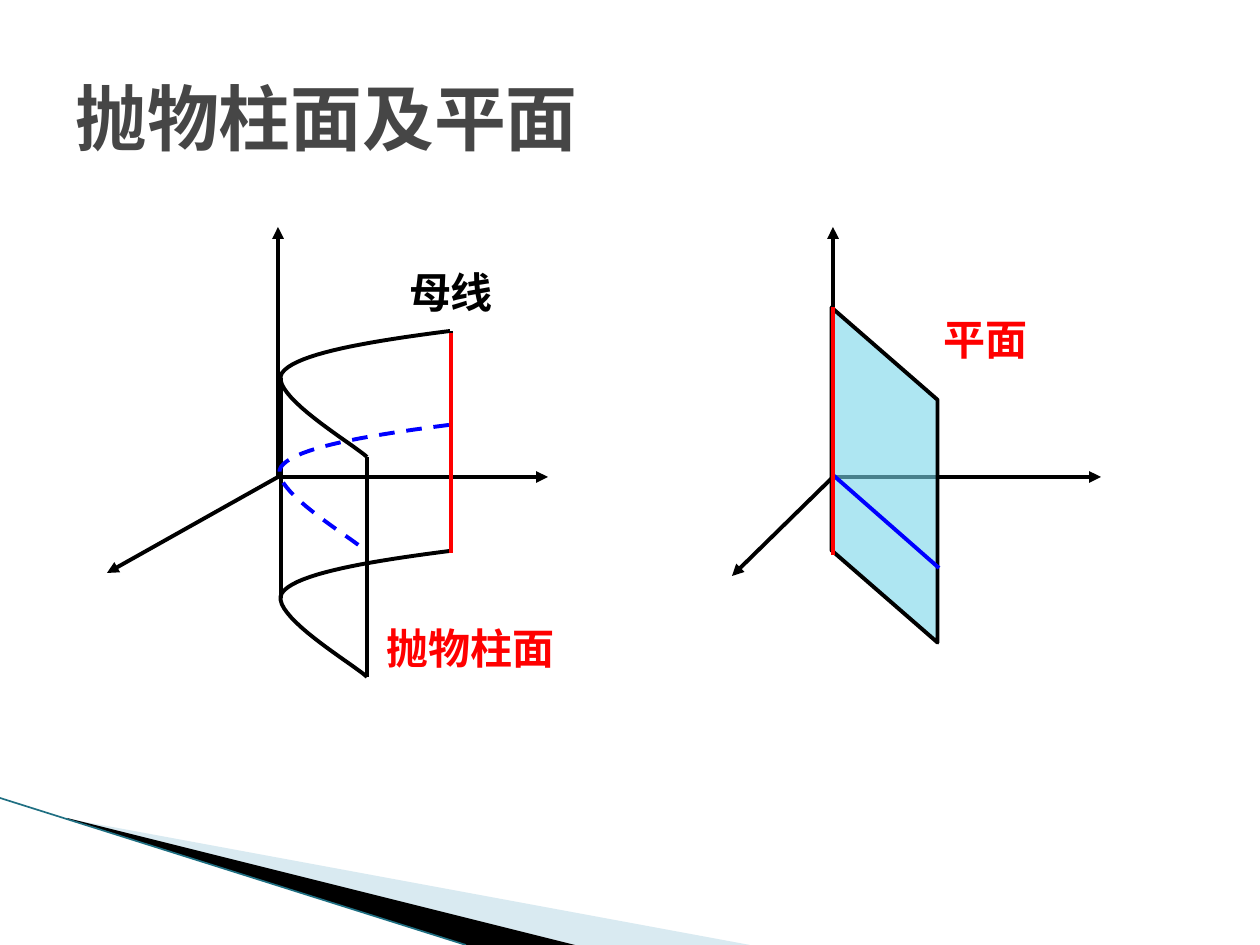
from lxml.etree import SubElement
from pptx import Presentation
from pptx.dml.color import RGBColor
from pptx.enum.dml import MSO_LINE
from pptx.enum.shapes import MSO_CONNECTOR, MSO_SHAPE
from pptx.enum.text import MSO_ANCHOR, PP_ALIGN
from pptx.oxml.ns import qn
from pptx.util import Pt

BLACK, RED, BLUE = "000000", "FF0000", "0000FF"
SERIF, SANS = "Times New Roman", "Arial"
LEFT, MID = PP_ALIGN.LEFT, PP_ALIGN.CENTER

WEDGES = [
    ([(69, 819), (750, 945), (575, 945), (69, 819)], "A0CBDC", 40),
    ([(67, 818), (575, 945), (466, 945), (68, 819)], BLACK, 100),
]
EDGE = (0, 798, 466, 945)
CURVE = [(450, 331), (373, 341), (296, 353), (282, 373),
         (268, 394), (353, 444), (367, 457)]
DROP = 220
SIDES = [(367, 457), (451, 331), (281, 378)]
AXES = [
    ((278, 477), [(278, 227), (107, 573), (548, 477)]),
    ((833, 477), [(833, 227), (732, 576), (1101, 477)]),
]
PLANE = (717, 422, 335, 106)
TEXTS = [
    ("抛物柱面及平面", (63, 38, 1134, 157), 41, SERIF, "464646", LEFT, MSO_ANCHOR.MIDDLE, True),
    ("母线", (392, 260, 118, 63), 24, SANS, BLACK, MID, MSO_ANCHOR.TOP, True),
    ("抛物柱面", (374, 616, 195, 64), 24, SERIF, RED, LEFT, MSO_ANCHOR.TOP, False),
    ("平面", (930, 307, 111, 64), 24, SANS, RED, MID, MSO_ANCHOR.TOP, False),
]


def px(n):
    return round(n * 914400 / 126)


def rgb(code):
    return RGBColor.from_string(code)


def paint(shape, code, part=100):
    shape.fill.solid()
    shape.fill.fore_color.rgb = rgb(code)
    if part < 100:
        tone = shape.fill._xPr.find(qn("a:solidFill"))[0]
        SubElement(tone, qn("a:alpha"), val=str(part * 1000))


def stroke(shape, code, width=2.25):
    shape.line.color.rgb = rgb(code)
    shape.line.width = Pt(width)


def line(x1, y1, x2, y2, code=BLACK, width=2.25, arrow=False):
    link = shapes.add_connector(MSO_CONNECTOR.STRAIGHT, px(x1), px(y1), px(x2), px(y2))
    stroke(link, code, width)
    if arrow:
        SubElement(link.line._get_or_add_ln(), qn("a:tailEnd"), type="triangle")
    SubElement(link._element.spPr, qn("a:effectLst"))


def outline(dots, close):
    dots = [(px(x), px(y)) for x, y in dots]
    pen = shapes.build_freeform(*dots[0])
    pen.add_line_segments(dots[1:], close=close)
    shape = pen.convert_to_shape()
    shape.shadow.inherit = False
    return shape


def bend(dots, steps=20):
    trail = [dots[0]]
    for i in range(0, len(dots) - 1, 3):
        for k in range(1, steps + 1):
            t = k / steps
            mix = ((1 - t) ** 3, 3 * t * (1 - t) ** 2, 3 * t * t * (1 - t), t ** 3)
            trail.append(tuple(sum(m * p[a] for m, p in zip(mix, dots[i:i + 4]))
                               for a in (0, 1)))
    return trail


def curve(dx, dy, code=BLACK, dash=False):
    shape = outline(bend([(x + dx, y + dy) for x, y in CURVE]), False)
    shape.fill.background()
    stroke(shape, code)
    if dash:
        shape.line.dash_style = MSO_LINE.DASH


def axes(base, tips):
    for tip in tips:
        line(*base, *tip, arrow=True)


def write(words, box, size, face, code, align, anchor, wrap):
    frame = shapes.add_textbox(*map(px, box)).text_frame
    frame.word_wrap = wrap
    frame.vertical_anchor = anchor
    para = frame.paragraphs[0]
    para.alignment = align
    run = para.add_run()
    run.text = words
    run.font.size = Pt(size)
    run.font.name = face
    run.font.bold = True
    run.font.color.rgb = rgb(code)


deck = Presentation()
deck.slide_width, deck.slide_height = px(1260), px(945)
shapes = deck.slides.add_slide(deck.slide_layouts[6]).shapes

for dots, code, part in WEDGES:
    wedge = outline(dots, True)
    paint(wedge, code, part)
    wedge.line.fill.background()
line(*EDGE, "1F6F82", 0.95)

curve(0, 0)
curve(0, DROP)
for x, y in SIDES:
    line(x, y, x, y + DROP)
axes(*AXES[0])
curve(-1, 94, BLUE, True)
line(451, 333, 451, 553, RED)

axes(*AXES[1])
plane = shapes.add_shape(MSO_SHAPE.PARALLELOGRAM, *map(px, PLANE))
plane.adjustments[0] = 0.87
plane.rotation = 270
plane.shadow.inherit = False
paint(plane, "78D6EA", 60)
stroke(plane, BLACK)
line(833, 475, 939, 568, BLUE)
line(833, 307, 833, 555, RED)

for item in TEXTS:
    write(*item)

deck.save("out.pptx")
